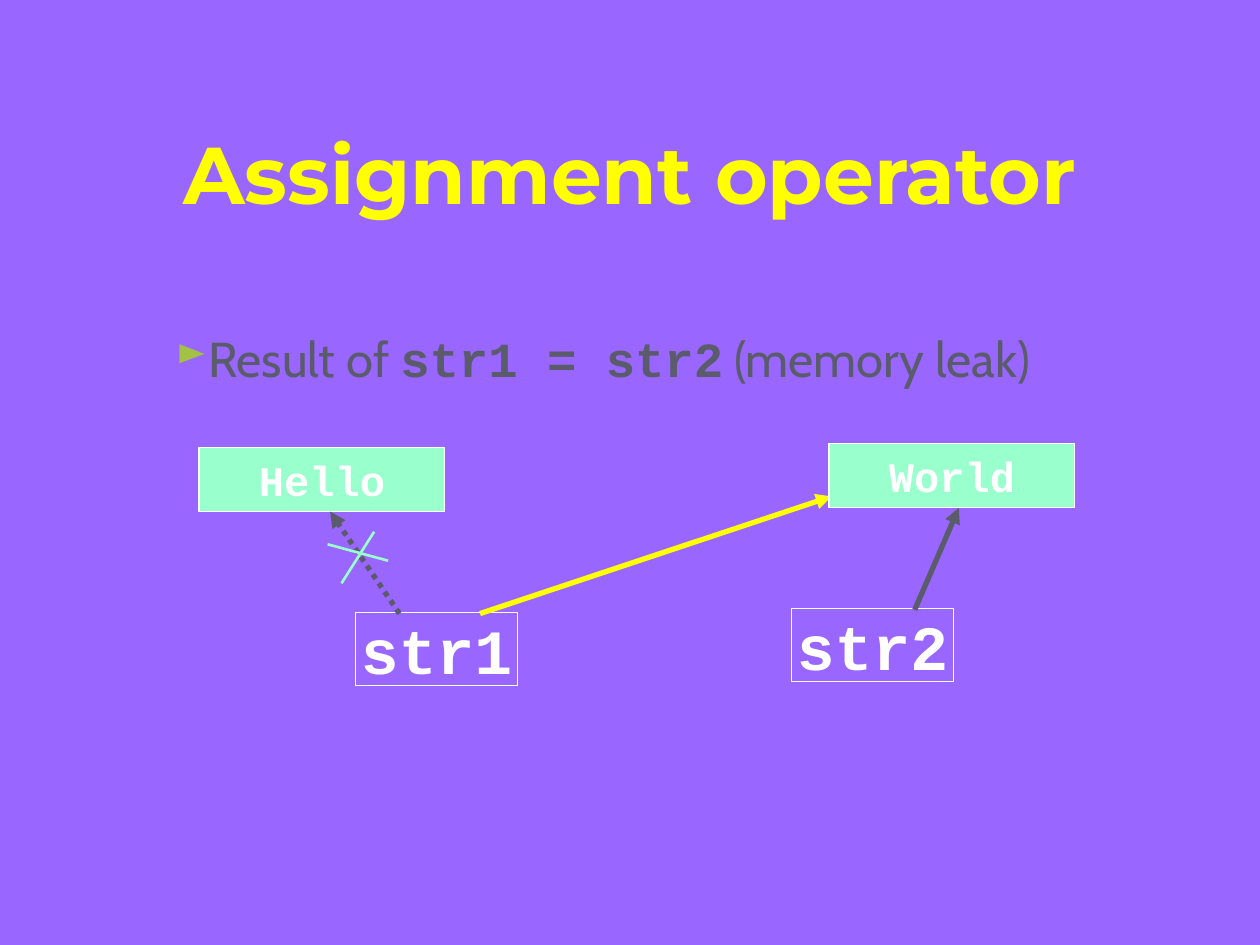
from dataclasses import dataclass

from lxml.etree import SubElement
from pptx import Presentation
from pptx.dml.color import RGBColor
from pptx.enum.dml import MSO_LINE
from pptx.enum.shapes import MSO_CONNECTOR, MSO_SHAPE
from pptx.enum.text import MSO_ANCHOR, PP_ALIGN
from pptx.oxml.ns import qn
from pptx.util import Inches, Pt


@dataclass(frozen=True)
class Theme:
    """Colours, fonts and type sizes of the slide."""

    purple: str = "9966FF"
    yellow: str = "FFFF00"
    mint: str = "99FFCC"
    white: str = "FFFFFF"
    gray: str = "5A5C6C"
    green: str = "A3C145"
    title_font: str = "Montserrat"
    body_font: str = "Cabin"
    code_font: str = "Courier New"
    title_size: int = 46
    body_size: int = 28
    value_size: int = 24
    variable_size: int = 36


class SlideBuilder:
    """Adds styled elements to the current slide."""

    def __init__(self, slide, theme):
        """Keep the slide and theme, and paint the background."""
        self.slide = slide
        self.theme = theme
        fill = slide.background.fill
        fill.solid()
        fill.fore_color.rgb = RGBColor.from_string(theme.purple)

    def style(self, run, font, size, color, bold=False):
        """Format one run."""
        run.font.name = font
        run.font.size = Pt(size)
        run.font.bold = bold
        run.font.color.rgb = RGBColor.from_string(color)

    def title(self, text):
        """Place and format the title."""
        theme = self.theme
        shape = self.slide.shapes.title
        shape.left, shape.top = Inches(0.75), Inches(0.56)
        shape.width, shape.height = Inches(8.5), Inches(1.61)
        frame = shape.text_frame
        frame.text = text
        frame.vertical_anchor = MSO_ANCHOR.MIDDLE
        paragraph = frame.paragraphs[0]
        paragraph.alignment = PP_ALIGN.CENTER
        self.style(paragraph.runs[0], theme.title_font, theme.title_size,
                   theme.yellow, True)

    def bullet(self, left, top, width, height, pieces):
        """Add a bulleted line made of (text, is_code) pieces."""
        theme = self.theme
        shape = self.slide.shapes.add_textbox(
            Inches(left), Inches(top), Inches(width), Inches(height))
        frame = shape.text_frame
        frame.word_wrap = True
        paragraph = frame.paragraphs[0]
        properties = paragraph._p.get_or_add_pPr()
        properties.set("marL", str(Inches(0.25)))
        properties.set("indent", str(-Inches(0.25)))
        color = SubElement(properties, qn("a:buClr"))
        SubElement(color, qn("a:srgbClr"), val=theme.green)
        SubElement(properties, qn("a:buSzPct"), val="80000")
        SubElement(properties, qn("a:buChar"), char="►")
        for text, is_code in pieces:
            run = paragraph.add_run()
            run.text = text
            font = theme.code_font if is_code else theme.body_font
            self.style(run, font, theme.body_size, theme.gray, is_code)

    def box(self, text, left, top, width, height, fill, size):
        """Add an outlined rectangle with centred code text."""
        theme = self.theme
        shape = self.slide.shapes.add_shape(
            MSO_SHAPE.RECTANGLE, Inches(left), Inches(top),
            Inches(width), Inches(height))
        shape.shadow.inherit = False
        shape.fill.solid()
        shape.fill.fore_color.rgb = RGBColor.from_string(fill)
        shape.line.color.rgb = RGBColor.from_string(theme.white)
        shape.line.width = Pt(0.75)
        frame = shape.text_frame
        frame.text = text
        frame.word_wrap = False
        frame.vertical_anchor = MSO_ANCHOR.MIDDLE
        paragraph = frame.paragraphs[0]
        paragraph.alignment = PP_ALIGN.CENTER
        self.style(paragraph.runs[0], theme.code_font, size, theme.white, True)

    def value(self, text, left, top):
        """Add a box for a string value."""
        self.box(text, left, top, 1.95, 0.51, self.theme.mint, self.theme.value_size)

    def variable(self, text, left, top):
        """Add a box for a variable."""
        self.box(text, left, top, 1.29, 0.58, self.theme.purple,
                 self.theme.variable_size)

    def line(self, start, end, color, width):
        """Add a straight line and return it."""
        connector = self.slide.shapes.add_connector(
            MSO_CONNECTOR.STRAIGHT, *map(Inches, start + end))
        connector.line.color.rgb = RGBColor.from_string(color)
        connector.line.width = Pt(width)
        SubElement(connector._element.spPr, qn("a:effectLst"))
        return connector

    def arrow(self, start, end, color, dash=None):
        """Add a pointer arrow, optionally dashed."""
        connector = self.line(start, end, color, 3)
        if dash is not None:
            connector.line.dash_style = dash
        SubElement(connector.line._get_or_add_ln(), qn("a:tailEnd"), type="triangle")


def main():
    """Build and save the slide."""
    presentation = Presentation()
    presentation.slide_width = Inches(10)
    presentation.slide_height = Inches(7.5)
    theme = Theme()
    slide = presentation.slides.add_slide(presentation.slide_layouts[5])
    builder = SlideBuilder(slide, theme)

    builder.title("Assignment operator")
    builder.bullet(1.3, 2.56, 7.7, 0.6, [
        ("Result of ", False), ("str1 = str2", True), (" (memory leak)", False)])

    builder.variable("str1", 2.82, 4.86)
    builder.value("Hello", 1.58, 3.55)
    builder.arrow((3.17, 4.87), (2.62, 4.06), theme.gray, MSO_LINE.ROUND_DOT)
    builder.variable("str2", 6.28, 4.83)
    builder.arrow((7.26, 4.84), (7.61, 4.03), theme.gray)
    builder.arrow((3.81, 4.87), (6.6, 3.94), theme.yellow)
    for start, end in [((2.97, 4.22), (2.71, 4.63)), ((2.6, 4.32), (3.08, 4.45))]:
        builder.line(start, end, theme.mint, 1.5)
    builder.value("World", 6.58, 3.52)

    presentation.save("out.pptx")


if __name__ == "__main__":
    main()
